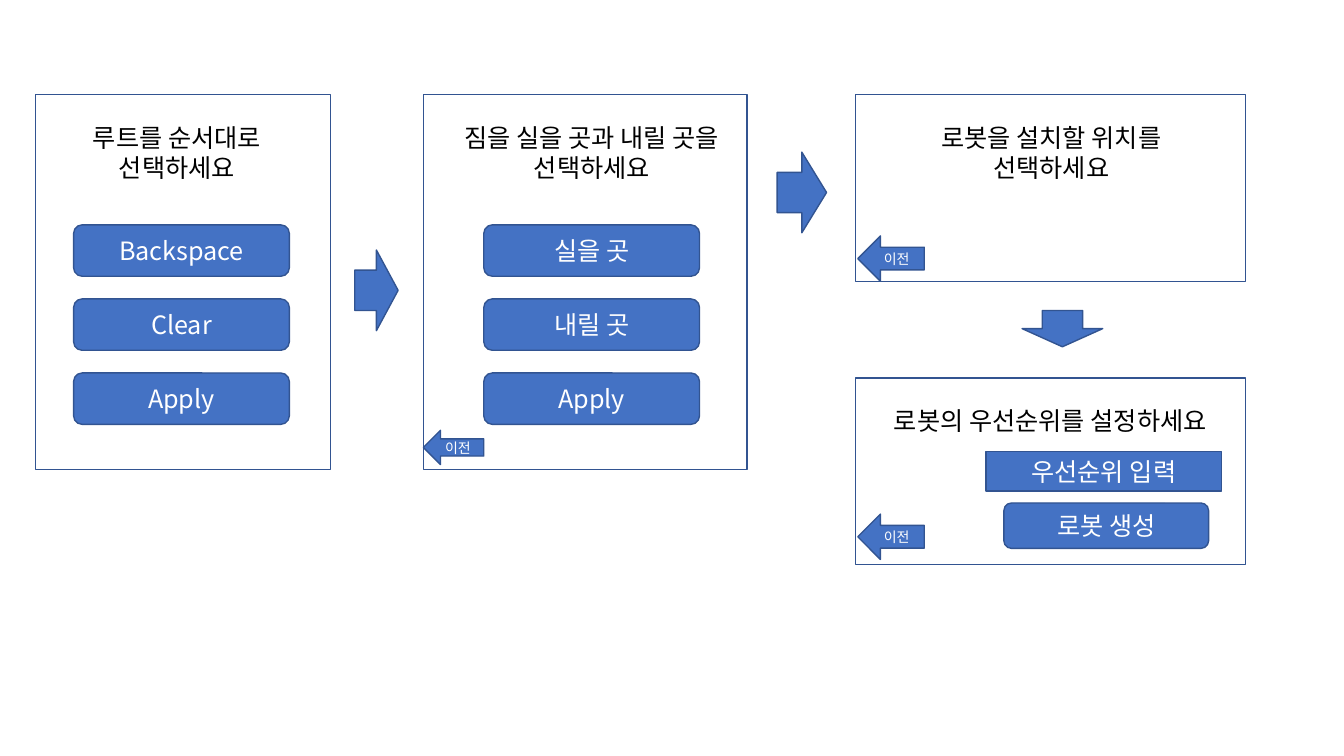
from dataclasses import dataclass

from lxml.etree import SubElement
from pptx import Presentation
from pptx.dml.color import RGBColor
from pptx.enum.shapes import MSO_SHAPE
from pptx.enum.text import MSO_ANCHOR, PP_ALIGN
from pptx.oxml.ns import qn
from pptx.util import Pt


@dataclass(frozen=True)
class Theme:
    fill: RGBColor = RGBColor(0x44, 0x72, 0xC4)
    line: RGBColor = RGBColor(0x32, 0x54, 0x91)
    dark_text: RGBColor = RGBColor(0, 0, 0)
    light_text: RGBColor = RGBColor(255, 255, 255)
    font: str = "Noto Sans CJK KR"
    body_size: int = 18
    small_size: int = 10
    line_spacing: float = 1.2


THEME = Theme()

PANEL_TOP = 67.7
LOWER_PANEL_TOP = 270
TITLE_OFFSET = 15.8
BUTTON_TOP = 160.6
BUTTON_PITCH = 52.9
BUTTON_SIZE = (154.1, 36.7)


def write_text(box, lines, size, color):
    """Centre the lines, with the font set for Latin and Korean script."""
    frame = box.text_frame
    frame.word_wrap = True
    for index, line in enumerate(lines):
        para = frame.paragraphs[0] if index == 0 else frame.add_paragraph()
        para.alignment = PP_ALIGN.CENTER
        para.line_spacing = Pt(size * THEME.line_spacing)
        span = para.add_run()
        span.text = line
        span.font.color.rgb = color
        for name, value in {"name": THEME.font, "size": Pt(size)}.items():
            setattr(span.font, name, value)
        east_asian = SubElement(span.font._element, qn("a:ea"))
        east_asian.set("typeface", THEME.font)


def add_block(slide, kind, bounds, label=None, size=THEME.body_size):
    box = slide.shapes.add_shape(kind, *map(Pt, bounds))
    box.shadow.inherit = False
    box.fill.solid()
    box.fill.fore_color.rgb = THEME.fill
    box.line.color.rgb = THEME.line
    box.line.width = Pt(1)
    box.text_frame.vertical_anchor = MSO_ANCHOR.MIDDLE
    if label:
        write_text(box, [label], size, THEME.light_text)
    return box


def add_panel(slide, bounds, title_left, title_width, lines):
    panel = add_block(slide, MSO_SHAPE.RECTANGLE, bounds)
    panel.fill.background()
    height = 7.2 + len(lines) * THEME.body_size * THEME.line_spacing
    title_bounds = (title_left, bounds[1] + TITLE_OFFSET, title_width, height)
    title = slide.shapes.add_textbox(*map(Pt, title_bounds))
    write_text(title, lines, THEME.body_size, THEME.dark_text)


def add_button_column(slide, left, labels):
    for row, label in enumerate(labels):
        bounds = (left, BUTTON_TOP + row * BUTTON_PITCH, *BUTTON_SIZE)
        add_block(slide, MSO_SHAPE.ROUNDED_RECTANGLE, bounds, label)


def add_back_arrow(slide, bounds):
    add_block(slide, MSO_SHAPE.LEFT_ARROW, bounds, "이전", THEME.small_size)


def main():
    deck = Presentation()
    deck.slide_width, deck.slide_height = Pt(960), Pt(540)
    slide = deck.slides.add_slide(deck.slide_layouts[6])

    add_panel(slide, (25.2, PANEL_TOP, 211, 267.8), 3.6, 245.5,
              ["루트를 순서대로", "선택하세요"])
    add_button_column(slide, 52.6, ["Backspace", "Clear", "Apply"])

    add_panel(slide, (302.4, PANEL_TOP, 231.1, 267.8), 311.8, 221.8,
              ["짐을 실을 곳과 내릴 곳을", "선택하세요"])
    add_button_column(slide, 345.6, ["실을 곳", "내릴 곳", "Apply"])
    add_back_arrow(slide, (302.4, 307.4, 43.2, 24.5))

    add_panel(slide, (611.3, PANEL_TOP, 278.6, 133.2), 652.3, 197.3,
              ["로봇을 설치할 위치를", "선택하세요"])
    add_back_arrow(slide, (612.7, 168.5, 47.5, 32.4))

    add_panel(slide, (611.3, LOWER_PANEL_TOP, 278.6, 133.2), 618.5, 263.5,
              ["로봇의 우선순위를 설정하세요"])
    add_back_arrow(slide, (612.7, 367.2, 47.5, 32.4))
    add_block(slide, MSO_SHAPE.RECTANGLE, (704.2, 322.6, 168.5, 28.1), "우선순위 입력")
    add_block(slide, MSO_SHAPE.ROUNDED_RECTANGLE, (717.1, 359.3, 146.2, 32.4), "로봇 생성")

    for kind, bounds in (
        (MSO_SHAPE.RIGHT_ARROW, (253.4, 178.6, 31, 57.6)),
        (MSO_SHAPE.RIGHT_ARROW, (555.1, 108.7, 35.3, 57.6)),
        (MSO_SHAPE.DOWN_ARROW, (730.1, 221.8, 57.6, 25.9)),
    ):
        add_block(slide, kind, bounds)

    deck.save("out.pptx")


if __name__ == "__main__":
    main()
